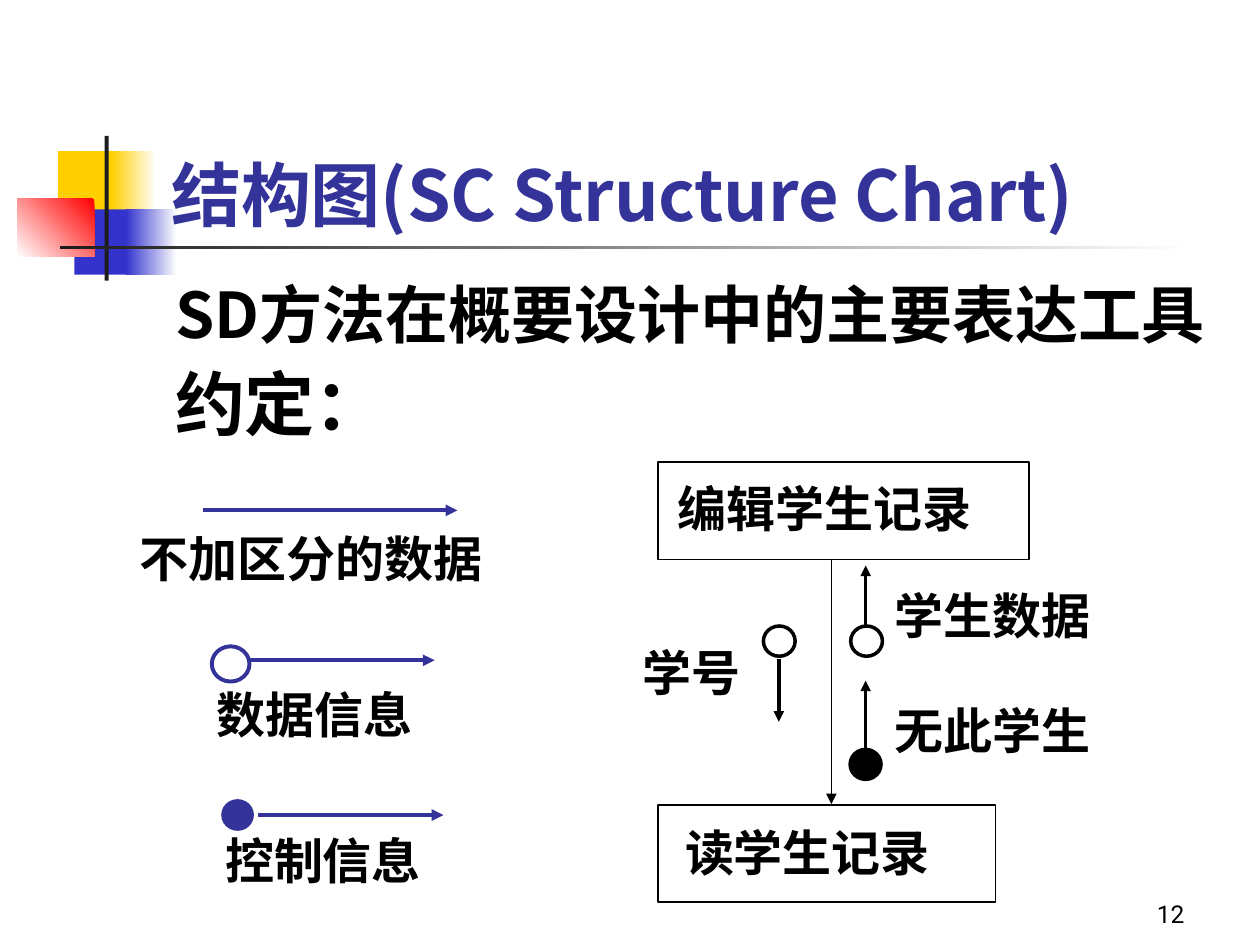
import pptx
import pptx.dml.color
import pptx.enum.shapes
import pptx.enum.text
import pptx.oxml.ns
import pptx.util
from lxml import etree
from pptx.util import Cm, Pt

COLOURS = {
    "white": "FFFFFF", "black": "000000", "charcoal": "1C1C1C",
    "yellow": "FFCF01", "blue": "3333CC", "red": "FF0000", "indigo": "333399",
}
FONT = "Noto Sans CJK SC"
RECTANGLE = pptx.enum.shapes.MSO_SHAPE.RECTANGLE
OVAL = pptx.enum.shapes.MSO_SHAPE.OVAL
ANCHOR = pptx.enum.text.MSO_ANCHOR
ALIGN = pptx.enum.text.PP_ALIGN
rgb = {name: pptx.dml.color.RGBColor.from_string(value) for name, value in COLOURS.items()}

presentation = pptx.Presentation()
presentation.slide_width = Cm(25.4)
presentation.slide_height = Cm(19.05)
slide = presentation.slides.add_slide(presentation.slide_layouts[6])


def add_figure(kind, box, fill, line=None, width=1):
    """Add a preset shape; a pair of colours as fill makes a gradient ready for its angle."""
    shape = slide.shapes.add_shape(kind, *[Cm(length) for length in box])
    shape.shadow.inherit = False
    if isinstance(fill, tuple):
        shape.fill.gradient()
        for stop, colour, position in zip(shape.fill.gradient_stops, fill, (0, 1)):
            stop.color.rgb = rgb[colour]
            stop.position = position
    else:
        shape.fill.solid()
        shape.fill.fore_color.rgb = rgb[fill]
    if line:
        shape.line.color.rgb = rgb[line]
        shape.line.width = Pt(width)
    else:
        shape.line.fill.background()
    return shape


def add_text(box, lines, colour="black", font=FONT, bold=True, wrap=True):
    """Add a text box; lines holds (text, size) pairs, one for each paragraph."""
    text_box = slide.shapes.add_textbox(*[Cm(length) for length in box])
    text_frame = text_box.text_frame
    text_frame.text = "\n".join(text for text, size in lines)
    text_frame.word_wrap = wrap
    for paragraph, (text, size) in zip(text_frame.paragraphs, lines):
        run = paragraph.runs[0]
        run.font.size = Pt(size)
        run.font.name = font
        run.font.bold = bold
        run.font.color.rgb = rgb[colour]
        east_asian = etree.SubElement(run.font._element, pptx.oxml.ns.qn("a:ea"))
        east_asian.set("typeface", font)
    return text_frame


# Decoration beside and below the title
decoration = [
    ((1.17, 3.05, 1.22, 1.32), "yellow", None),
    ((2.24, 3.05, 0.91, 1.32), ("white", "yellow"), 180),
    ((1.5, 4.22, 1.17, 1.32), "blue", None),
    ((2.54, 4.22, 1.02, 1.32), ("white", "blue"), 180),
    ((0.35, 4.01, 1.55, 1.17), ("red", "white"), 225),
    ((2.11, 2.74, 0.08, 2.92), "charcoal", None),
    ((1.22, 4.95, 22.86, 0.08), ("white", "charcoal"), 180),
]
for box, fill, angle in decoration:
    shape = add_figure(RECTANGLE, box, fill)
    if angle is not None:
        shape.fill.gradient_angle = angle

# Title and introduction
title = add_text((3.2, 1.7, 21.64, 3.18), [("结构图(SC Structure Chart)", 40)], "indigo")
title.vertical_anchor = ANCHOR.BOTTOM

body = add_text((3.28, 5.61, 21.59, 3.71),
                [("SD方法在概要设计中的主要表达工具", 36), ("约定：", 40)])
for paragraph in body.paragraphs:
    paragraph.line_spacing = 0.9
    properties = paragraph._p.get_or_add_pPr()
    properties.set("marL", str(Cm(0.97)))
    properties.set("indent", str(-Cm(0.97)))
body.paragraphs[1].space_before = Pt(10)

# Module boxes
for box in [(13.26, 9.32, 7.49, 1.96), (13.26, 16.23, 6.81, 1.96)]:
    add_figure(RECTANGLE, box, "white", "black", 1)

# Arrows: start x, start y, end x, end y, colour, width
arrows = [
    (16.76, 11.28, 16.76, 16.21, "black", 1),
    (17.45, 12.78, 17.45, 11.4, "black", 2),
    (17.45, 15.09, 17.45, 13.72, "black", 2),
    (15.7, 13.28, 15.7, 14.55, "black", 2),
    (4.09, 10.29, 9.22, 10.29, "indigo", 2.25),
    (5.03, 13.31, 8.76, 13.31, "indigo", 2.25),
    (5.21, 16.43, 8.94, 16.43, "indigo", 2.25),
]
for *ends, colour, width in arrows:
    arrow = slide.shapes.add_connector(
        pptx.enum.shapes.MSO_CONNECTOR.STRAIGHT, *[Cm(length) for length in ends])
    arrow.line.color.rgb = rgb[colour]
    arrow.line.width = Pt(width)
    head = etree.SubElement(arrow.line._get_or_add_ln(), pptx.oxml.ns.qn("a:tailEnd"))
    head.set("type", "triangle")
    etree.SubElement(arrow._element.spPr, pptx.oxml.ns.qn("a:effectLst"))

# Circles: open for data, filled for control
circles = [
    ((15.39, 12.62, 0.64, 0.61), "white", "black", 2),
    ((17.15, 12.62, 0.64, 0.61), "white", "black", 2),
    ((17.12, 15.09, 0.66, 0.64), "black", "black", 1),
    ((4.27, 13.03, 0.76, 0.71), "white", "indigo", 2.25),
    ((4.5, 16.15, 0.58, 0.56), "indigo", "indigo", 2.25),
]
for circle in circles:
    add_figure(OVAL, *circle)

# Labels: left, top, width, text
labels = [
    (13.41, 9.53, 6.43, "编辑学生记录"),
    (13.56, 16.46, 5.44, "读学生记录"),
    (17.78, 11.68, 4.45, "学生数据"),
    (17.78, 14, 4.45, "无此学生"),
    (12.7, 12.83, 2.49, "学号"),
    (2.57, 10.52, 7.42, "不加区分的数据"),
    (4.11, 13.67, 4.45, "数据信息"),
    (4.29, 16.61, 4.45, "控制信息"),
]
for left, top, width, text in labels:
    label = add_text((left, top, width, 1.42), [(text, 28)], wrap=False)
    label.auto_size = pptx.enum.text.MSO_AUTO_SIZE.SHAPE_TO_FIT_TEXT

page_number = add_text((18.85, 17.58, 5.28, 1.27), [("12", 14)], font="Roboto", bold=False)
page_number.vertical_anchor = ANCHOR.BOTTOM
page_number.paragraphs[0].alignment = ALIGN.RIGHT

presentation.save("out.pptx")
